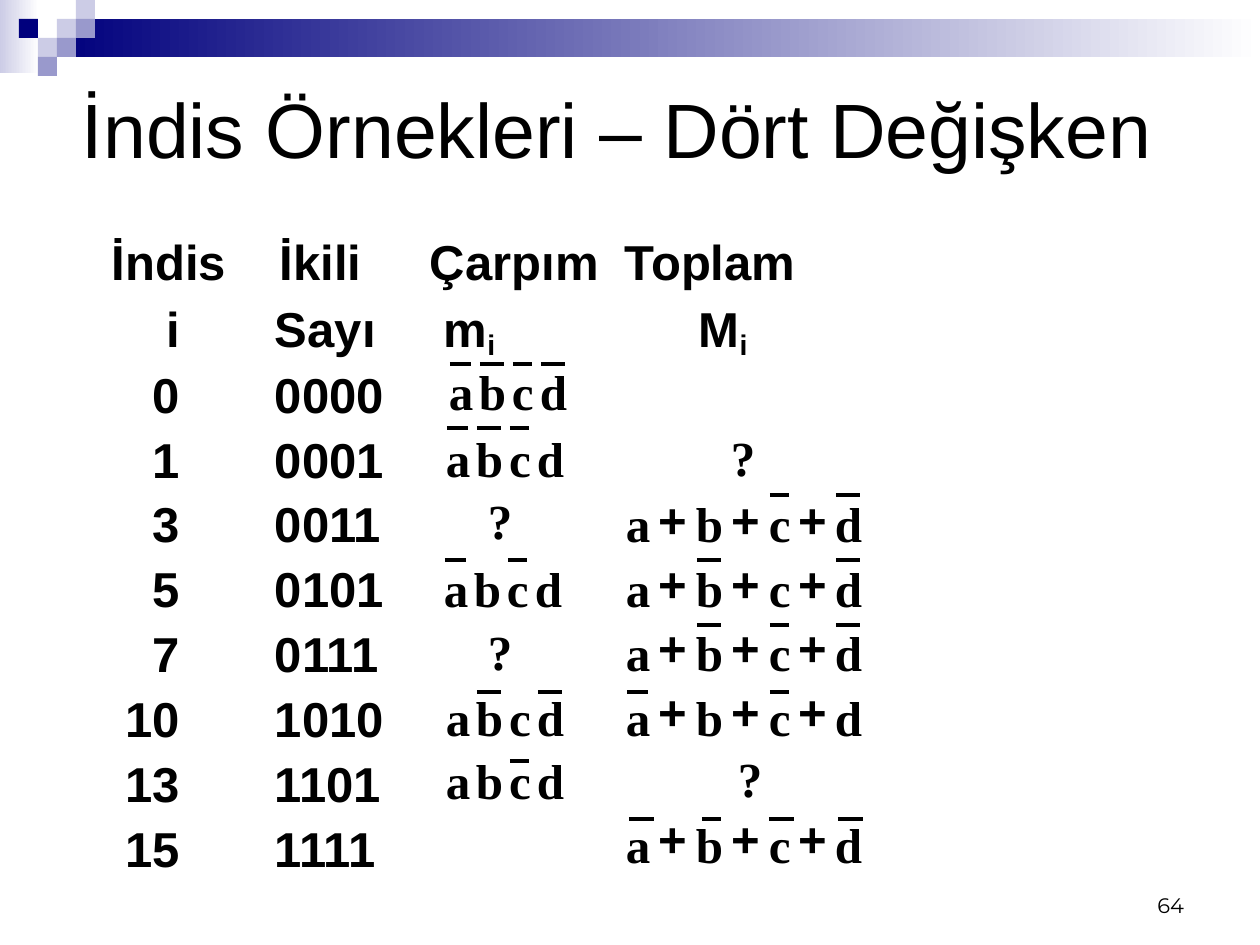
import pptx
import pptx.util
import pptx.dml.color
import pptx.enum.shapes
import pptx.enum.text
import pptx.oxml
import pptx.oxml.ns

SCALE = 914400 / 126  # EMU in one px
COLORS = {"navy": "00007D", "violet": "9999CC", "lilac": "CCCCE6",
          "white": "FFFFFF", "black": "000000"}
SANS, SERIF, NUMBER = "Arial", "Times New Roman", "Montserrat"
ALIGN = pptx.enum.text.PP_ALIGN
ANCHOR = pptx.enum.text.MSO_ANCHOR


def px(value):
    return pptx.util.Emu(round(value * SCALE))


def color(name):
    return pptx.dml.color.RGBColor.from_string(COLORS[name])


class SlideBuilder:
    """Holds the style and the current slide."""

    body_format = {"name": SANS, "size": pptx.util.Pt(28), "bold": True}
    # Variable: (width, bar offset, bar length)
    letters = {"a": (24, 1, 21), "b": (28, 1, 24), "c": (21, 1, 19), "d": (28, 1, 24)}
    product_offsets = {"a": 0, "b": 30, "c": 63, "d": 91}
    sum_lefts = {"a": 626, "b": 696, "c": 769, "d": 835}
    plus_lefts = (659, 732, 799)

    def __init__(self, slide):
        self.slide = slide

    def rectangle(self, left, top, width, height, *fill_colors):
        shape = self.slide.shapes.add_shape(
            pptx.enum.shapes.MSO_SHAPE.RECTANGLE,
            px(left), px(top), px(width), px(height))
        shape.shadow.inherit = False
        shape.line.fill.background()
        if len(fill_colors) == 1:
            shape.fill.solid()
            shape.fill.fore_color.rgb = color(fill_colors[0])
            return
        shape.fill.gradient()
        shape.fill.gradient_angle = 0
        for stop, name in zip(shape.fill.gradient_stops, fill_colors):
            stop.color.rgb = color(name)

    def frame(self, left, top, width, height, margins=(13, 6), wrap=True,
              anchor=ANCHOR.TOP):
        box = self.slide.shapes.add_textbox(px(left), px(top), px(width), px(height))
        side, edge = map(px, margins)
        settings = {"margin_left": side, "margin_right": side, "margin_top": edge,
                    "margin_bottom": edge, "word_wrap": wrap, "vertical_anchor": anchor}
        for key, value in settings.items():
            setattr(box.text_frame, key, value)
        return box.text_frame

    def run(self, paragraph, text, subscript=False, **changes):
        run = paragraph.add_run()
        run.text = text
        for key, value in {**self.body_format, **changes}.items():
            setattr(run.font, key, value)
        run.font.color.rgb = color("black")
        if subscript:
            run._r.get_or_add_rPr().set("baseline", "-16000")

    def label(self, bounds, text, anchor, align, **changes):
        paragraph = self.frame(*bounds, anchor=anchor).paragraphs[0]
        paragraph.alignment = align
        self.run(paragraph, text, **changes)

    def symbol(self, left, top, width, text, font=SERIF):
        frame = self.frame(left, top, width, 59, margins=(0, 0), wrap=False)
        frame.auto_size = pptx.enum.text.MSO_AUTO_SIZE.SHAPE_TO_FIT_TEXT
        self.run(frame.paragraphs[0], text, name=font)

    def bar(self, left, top, length):
        line = self.slide.shapes.add_connector(
            pptx.enum.shapes.MSO_CONNECTOR.STRAIGHT,
            px(left), px(top), px(left + length), px(top))
        line.line.width = pptx.util.Pt(2.25)
        line.line.color.rgb = color("black")
        line._element.spPr.append(pptx.oxml.parse_xml(
            "<a:effectLst %s/>" % pptx.oxml.ns.nsdecls("a")))

    def variables(self, lefts, top, bar_top, barred, bars=None):
        for letter, left in lefts.items():
            width, *default_bar = self.letters[letter]
            self.symbol(left, top, width, letter)
            if letter in barred:
                offset, length = (bars or {}).get(letter, default_bar)
                self.bar(left + offset, bar_top, length)

    def product(self, left, top, bar_top, barred):
        lefts = {letter: left + offset for letter, offset in self.product_offsets.items()}
        self.variables(lefts, top, bar_top, barred)

    def sum(self, top, bar_top, barred, bars=None):
        self.variables(self.sum_lefts, top, bar_top, barred, bars)
        for left in self.plus_lefts:
            self.symbol(left, top - 5, 26, "+", SANS)

    def index_table(self, left, top, width, height, rows):
        """Each row is (tab stops as (align, slide x), runs as (text, subscript))."""
        frame = self.frame(left, top, width, height)
        for number, (stops, runs) in enumerate(rows):
            paragraph = frame.add_paragraph() if number else frame.paragraphs[0]
            tabs = "".join('<a:tab pos="%d" algn="%s"/>' % (px(x - left - 13), align)
                           for align, x in stops)
            paragraph._p.get_or_add_pPr().append(pptx.oxml.parse_xml(
                "<a:tabLst %s>%s</a:tabLst>" % (pptx.oxml.ns.nsdecls("a"), tabs)))
            paragraph.line_spacing = 0.9
            if number:
                paragraph.space_before = pptx.util.Pt(6.8)
            for text, subscript in runs:
                self.run(paragraph, text, subscript)


def main():
    presentation = pptx.Presentation()
    presentation.slide_width, presentation.slide_height = px(1260), px(945)
    slide = presentation.slides.add_slide(presentation.slide_layouts[6])
    builder = SlideBuilder(slide)

    # Header band and mosaic
    builder.rectangle(0, 0, 39, 73, "lilac", "white")
    builder.rectangle(57, 19, 1203, 38, "navy", "white")
    mosaic = [(3, 1, "lilac"), (4, 0, "lilac"), (4, 1, "violet"), (2, 2, "lilac"),
              (1, 1, "navy"), (3, 2, "violet"), (2, 3, "violet")]
    for column, row, name in mosaic:
        builder.rectangle(column * 19, row * 19, 19, 19, name)

    # Title and page number
    builder.label((69, 57, 1162, 141), "İndis Örnekleri – Dört Değişken",
                  ANCHOR.MIDDLE, ALIGN.LEFT, size=pptx.util.Pt(44), bold=False)
    builder.label((903, 861, 294, 63), "64", ANCHOR.BOTTOM, ALIGN.RIGHT,
                  name=NUMBER, size=pptx.util.Pt(12), bold=False)

    # Index and binary columns with their headings
    number_stops = [("r", 180), ("l", 275)]
    rows = [
        ([("l", 112), ("l", 280), ("l", 430), ("l", 625)],
         [("\tİndis\tİkili\tÇarpım\tToplam", False)]),
        (number_stops + [("l", 444), ("l", 699)],
         [("\ti\tSayı\tm", False), ("i", True), ("\tM", False), ("i", True)]),
    ]
    for index in (0, 1, 3, 5, 7, 10, 13, 15):
        rows.append((number_stops, [(f"\t{index}\t{index:04b}", False)]))
    builder.index_table(86, 232, 1071, 693, rows)

    # Products: left, letter top, bar top, barred variables
    for term in [(449, 362, 364, "abcd"), (446, 428, 428, "abc"), (444, 558, 560, "ac"),
                 (446, 687, 692, "bd"), (446, 750, 761, "c")]:
        builder.product(*term)

    # Sums: letter top, bar top, barred variables
    for term in [(494, 495, "cd"), (558, 560, "bd"), (622, 625, "bcd"), (687, 692, "ac")]:
        builder.sum(*term)
    builder.sum(814, 819, "abcd", {"a": (3, 25), "b": (6, 19), "c": (0, 25), "d": (3, 25)})

    # Open questions
    for left, top in [(731, 427), (488, 490), (488, 621), (738, 748)]:
        builder.symbol(left, top, 24, "?")

    presentation.save("out.pptx")


if __name__ == "__main__":
    main()
